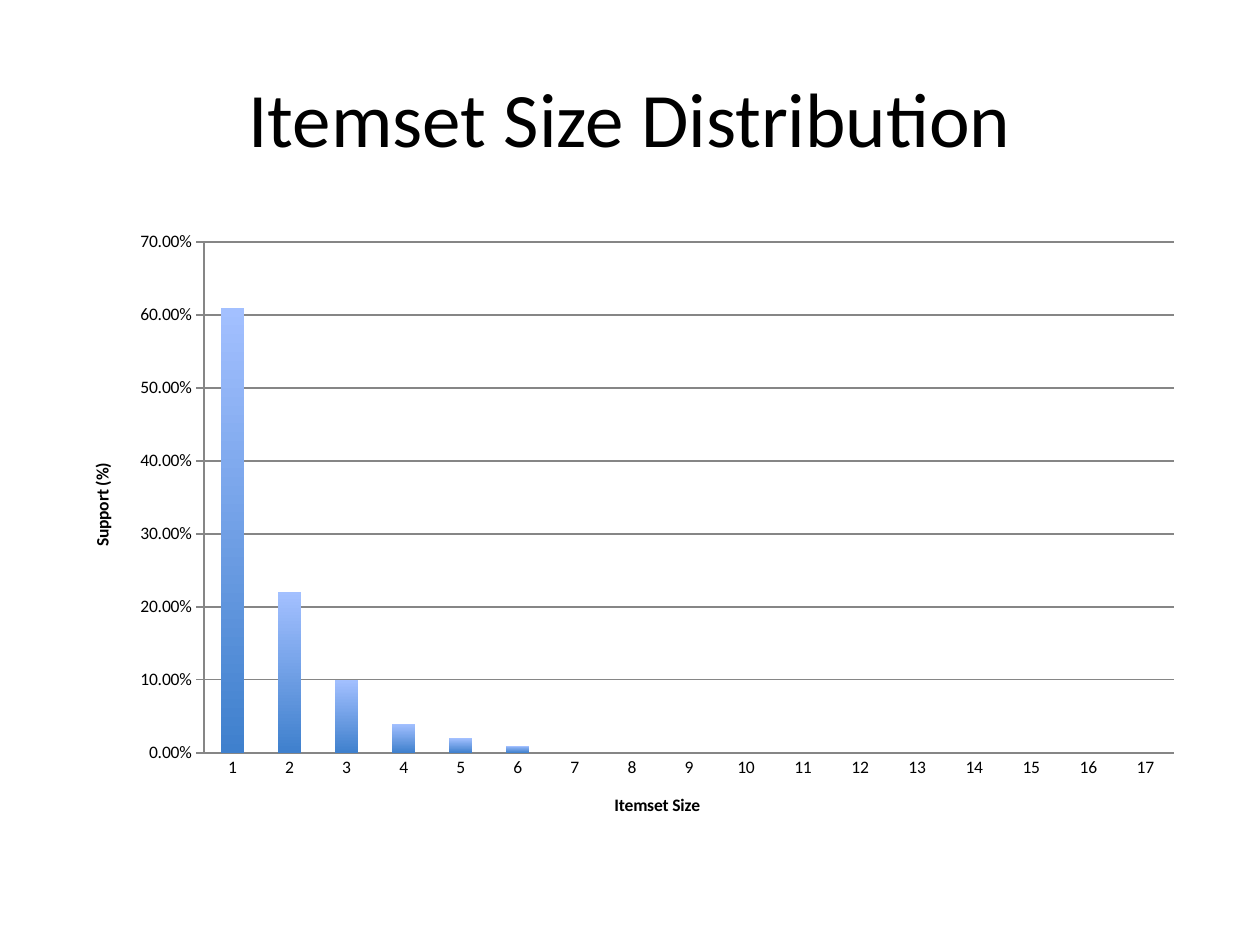
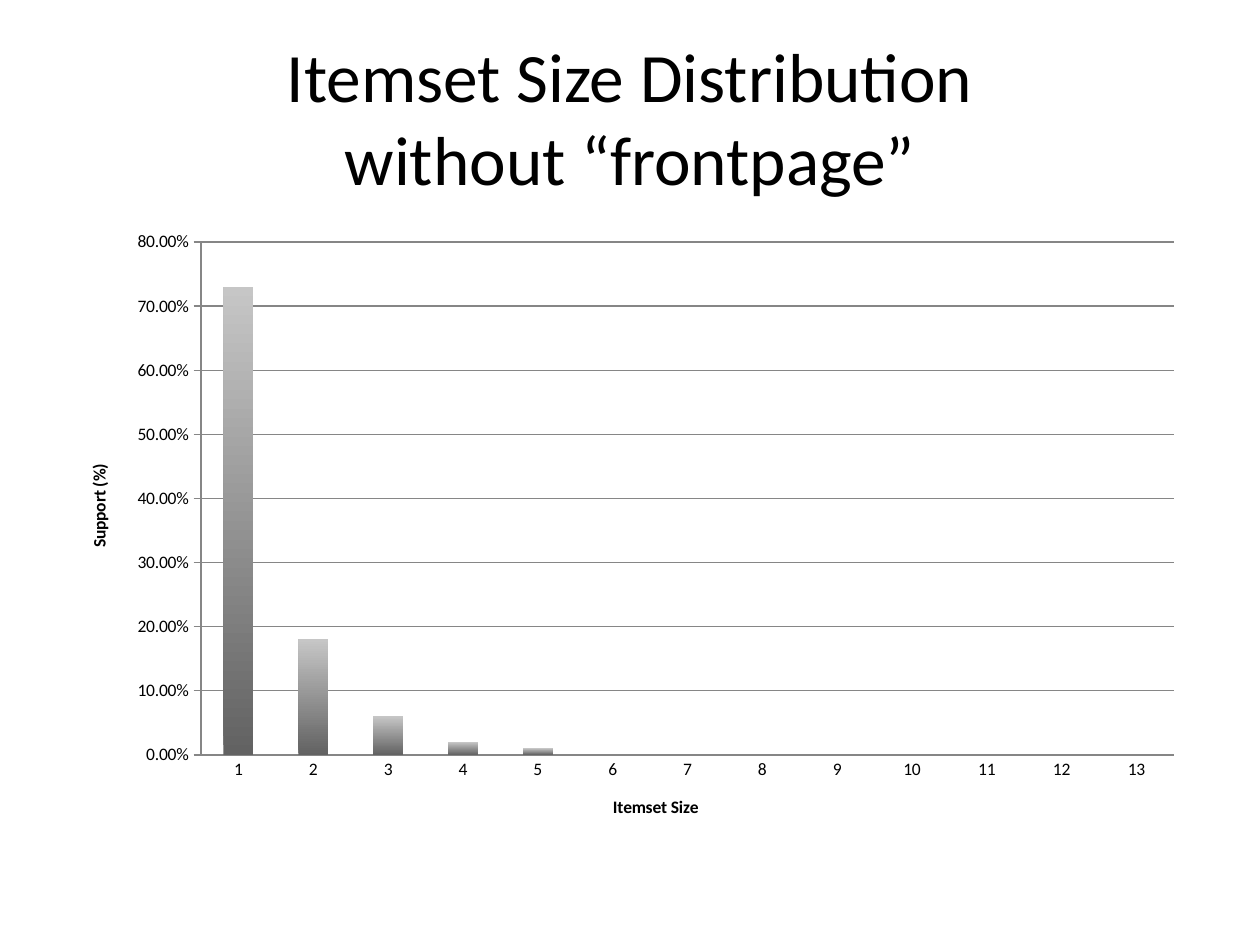
from lxml import etree
from pptx import Presentation
from pptx.chart.data import CategoryChartData
from pptx.dml.color import RGBColor
from pptx.enum.chart import XL_CHART_TYPE, XL_TICK_MARK
from pptx.enum.text import MSO_ANCHOR, PP_ALIGN
from pptx.oxml.ns import qn
from pptx.util import Pt

COLUMNS = XL_CHART_TYPE.COLUMN_CLUSTERED
TICK_NONE, TICK_OUT = XL_TICK_MARK.NONE, XL_TICK_MARK.OUTSIDE
MIDDLE, CENTER = MSO_ANCHOR.MIDDLE, PP_ALIGN.CENTER

EMU_PER_PIXEL = 914400 / 126
FONT, INK, RULE = "Calibri", "000000", "868686"
PERCENT = "0.00%"
TITLE_BOX = (63, 38, 1134, 157)
CHART_BOX = (63, 220, 1134, 624)

DISTRIBUTIONS = [
    dict(title="Itemset Size Distribution", title_size=44, series="Series 1",
         sizes=17, top=0.7, gradient=("3F80CD", "A3C0FF"),
         plot_box=(141, 22, 970, 511),
         support=[0.61, 0.22, 0.1, 0.04, 0.02, 0.01]),
    dict(title="Itemset Size Distribution\nwithout “frontpage”", title_size=39.6,
         series="Size", sizes=13, top=0.8, gradient=("626262", "C6C6C6"),
         plot_box=(138, 22, 973, 513),
         support=[0.73, 0.18, 0.06, 0.02, 0.01]),
]


def px(pixels):
    """Turn picture pixels into EMU."""
    return round(pixels * EMU_PER_PIXEL)


def rgb(value):
    """Turn a hex string into a colour."""
    return RGBColor.from_string(value)


def style_font(font, size, bold=False, color=INK):
    """Set the shared typeface with a size, weight and colour."""
    font.name, font.size, font.bold = FONT, Pt(size), bold
    font.color.rgb = rgb(color)


def write_text(frame, text, size, bold=False, color=INK, align=CENTER):
    """Write one paragraph, with line breaks kept, into a text frame."""
    paragraph = frame.paragraphs[0]
    paragraph.alignment = align
    for number, line in enumerate(text.split("\n")):
        if number:
            paragraph.add_line_break()
        run = paragraph.add_run()
        run.text = line
        style_font(run.font, size, bold, color)


def add_title(slide, box, text, size):
    """Place the slide title, centred in its box."""
    frame = slide.shapes.add_textbox(*map(px, box)).text_frame
    frame.word_wrap = True
    frame.vertical_anchor = MIDDLE
    write_text(frame, text, size)


def style_axis(axis, title, tick):
    """Title an axis and set its line and tick marks."""
    write_text(axis.axis_title.text_frame, title, 10, bold=True)
    axis.major_tick_mark, axis.minor_tick_mark = tick, TICK_NONE
    style_font(axis.tick_labels.font, 10)
    axis.format.line.color.rgb = rgb(RULE)
    axis.format.line.width = Pt(0.75)


def place_plot(chart, box, plot_box):
    """Fix the inner plot area, given in pixels from the chart's corner."""
    area = chart.plots[0]._element.getparent()
    for automatic in area.findall(qn("c:layout")):
        area.remove(automatic)
    layout = etree.Element(qn("c:layout"))
    area.insert(0, layout)
    manual = etree.SubElement(layout, qn("c:manualLayout"))
    settings = [("layoutTarget", "inner"), ("xMode", "edge"), ("yMode", "edge")]
    settings += [(side, str(round(length / whole, 4)))
                 for side, length, whole in zip("xywh", plot_box, box[2:] * 2)]
    for tag, value in settings:
        etree.SubElement(manual, qn("c:" + tag)).set("val", value)


def add_support_chart(slide, box, series, sizes, support, top, gradient, plot_box):
    """Draw the support of each itemset size as gradient columns."""
    data = CategoryChartData(number_format=PERCENT)
    data.categories = [str(size) for size in range(1, sizes + 1)]
    data.add_series(series, support + [0] * (sizes - len(support)))
    chart = slide.shapes.add_chart(COLUMNS, *map(px, box), data).chart
    chart.has_title = chart.has_legend = False
    style_font(chart.font, 10)

    style_axis(chart.category_axis, "Itemset Size", TICK_NONE)
    support_axis = chart.value_axis
    style_axis(support_axis, "Support (%)", TICK_OUT)
    support_axis.minimum_scale, support_axis.maximum_scale = 0, top
    support_axis.major_unit = 0.1
    support_axis.tick_labels.number_format = PERCENT
    support_axis.tick_labels.number_format_is_linked = False
    grid_line = support_axis.major_gridlines.format.line
    grid_line.color.rgb, grid_line.width = rgb(RULE), Pt(0.75)

    plot = chart.plots[0]
    plot.gap_width, plot.vary_by_categories = 150, False
    column_fill = plot.series[0].format.fill
    column_fill.gradient()
    column_fill.gradient_angle = 90
    for stop, color, position in zip(column_fill.gradient_stops, gradient, (0, 1)):
        stop.color.rgb, stop.position = rgb(color), position
    place_plot(chart, box, plot_box)


def add_distribution_slide(deck, title, title_size, **chart_parts):
    """Add one slide with a title above its support chart."""
    slide = deck.slides.add_slide(deck.slide_layouts[6])
    add_title(slide, TITLE_BOX, title, title_size)
    add_support_chart(slide, CHART_BOX, **chart_parts)


def main():
    """Build and save the deck."""
    deck = Presentation()
    deck.slide_width, deck.slide_height = px(1260), px(945)
    for distribution in DISTRIBUTIONS:
        add_distribution_slide(deck, **distribution)
    deck.save("out.pptx")


main()
